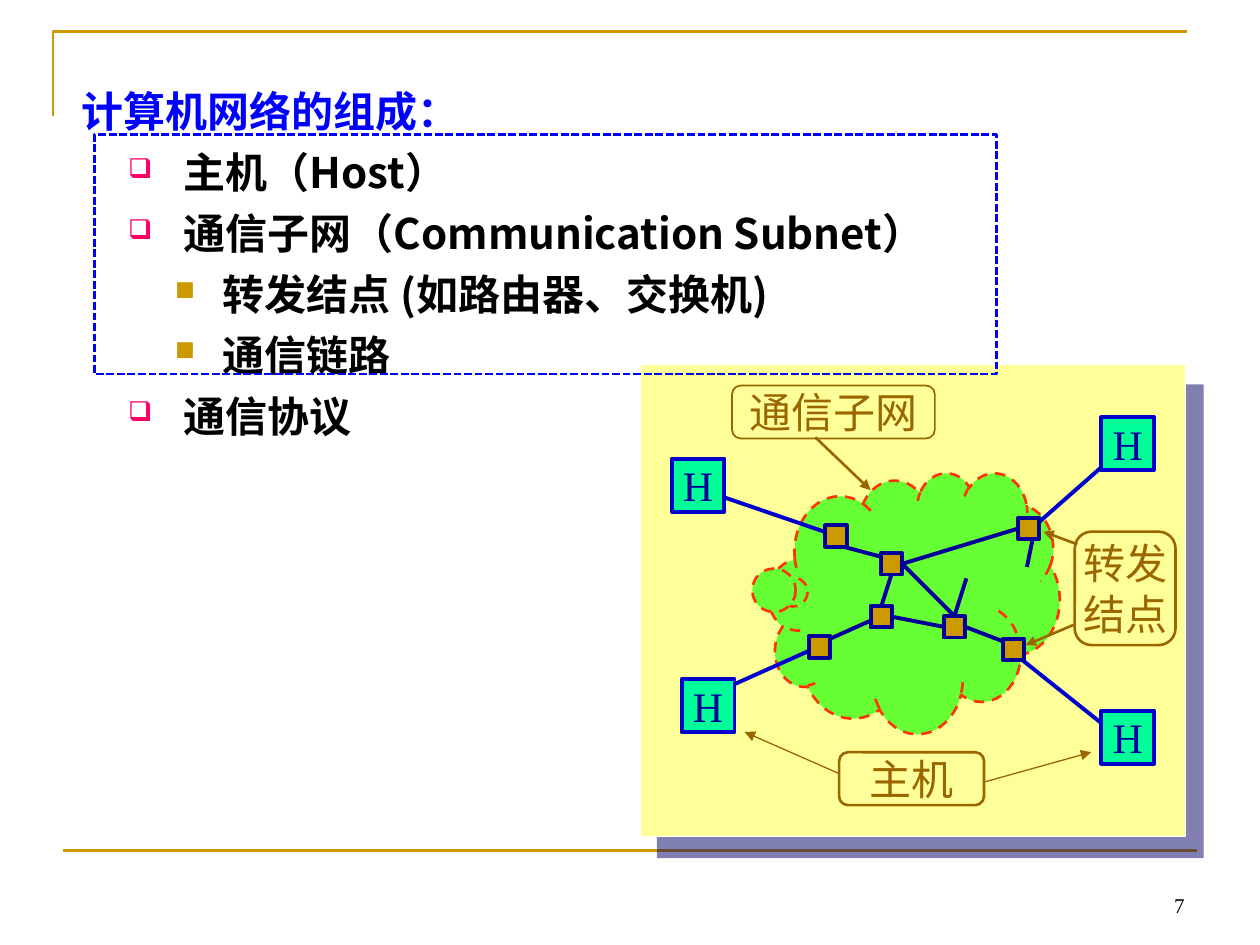
import pptx
import pptx.util
import pptx.dml.color
import pptx.enum.shapes
import pptx.enum.text
import pptx.enum.dml
import pptx.oxml.ns
import lxml.etree
from dataclasses import dataclass

Inches = pptx.util.Inches
Pt = pptx.util.Pt
Shape = pptx.enum.shapes.MSO_SHAPE
Align = pptx.enum.text.PP_ALIGN
Anchor = pptx.enum.text.MSO_ANCHOR
Dash = pptx.enum.dml.MSO_LINE
qn = pptx.oxml.ns.qn


@dataclass(frozen=True)
class Theme:
    latin: str = "Times New Roman"
    chinese: str = "Noto Sans CJK SC"
    body_size: int = 24
    number_size: int = 12
    gold: str = "CC9900"
    brown: str = "996600"
    blue: str = "0000FF"
    host_line: str = "0000CC"
    navy: str = "000099"
    shadow: str = "000066"
    host_fill: str = "00FF99"
    cloud_fill: str = "66FF33"
    cloud_line: str = "FF3300"
    panel: str = "FFFF99"
    white: str = "FFFFFF"
    black: str = "000000"
    pink: str = "FF0066"


theme = Theme()

# Content
title = "计算机网络的组成："
outline = [
    (1, "主机（Host）"),
    (1, "通信子网（Communication Subnet）"),
    (2, "转发结点 (如路由器、交换机)"),
    (2, "通信链路"),
    (1, "通信协议"),
]
# level: bullet, colour, text indent, hanging indent
bullets = {1: ("❑", theme.pink, 0.81, 0.44), 2: ("■", theme.gold, 1.12, 0.38)}
page_number = "7"

HOST, NODE = 0.42, 0.17
hosts = [(5.33, 3.64), (8.74, 3.31), (8.74, 5.64), (5.41, 5.39)]
nodes = {
    "west": (6.55, 4.17), "hub": (6.99, 4.39), "east": (8.08, 4.11),
    "middle": (6.91, 4.81), "south": (7.49, 4.89),
    "southwest": (6.42, 5.05), "southeast": (7.96, 5.07),
}
host_links = [
    ((5.74, 5.47), (6.5, 5.13)), ((5.58, 3.89), (6.6, 4.24)),
    ((8.91, 3.56), (8.16, 4.22)), ((8.83, 5.81), (7.99, 5.14)),
]
node_links = [
    ((6.52, 5.1), (6.99, 4.89)), ((6.66, 4.33), (7.11, 4.45)),
    ((8.15, 4.5), (8.2, 4.26)),
]
# An end is a point, or a node and the side it is joined to
TOP, LEFT, BOTTOM, RIGHT = range(4)
joined_links = [
    (("hub", BOTTOM), ("middle", TOP)), (("hub", RIGHT), ("south", TOP)),
    (("middle", RIGHT), ("south", LEFT)), (("hub", RIGHT), ("east", LEFT)),
    (("south", RIGHT), (7.96, 5.09)), (("south", TOP), (7.67, 4.59)),
]
# label lines, box, line width
labels = [
    (["主机"], (6.66, 5.97, 1.15, 0.42), 1.5),
    (["通信子网"], (5.81, 3.06, 1.61, 0.42), 1),
    (["转发", "结点"], (8.53, 4.22, 0.8, 0.9), 1.5),
]
pointers = [
    ((6.66, 6.14), (5.91, 5.81), 0.75), ((7.8, 6.21), (8.66, 5.97), 0.75),
    ((6.47, 3.47), (6.91, 3.89), 1.5), ((8.55, 4.32), (8.28, 4.22), 1.5),
    ((8.52, 4.96), (8.14, 5.12), 1.5),
]

deck = pptx.Presentation()
deck.slide_width, deck.slide_height = Inches(10), Inches(7.5)
page = deck.slides.add_slide(deck.slide_layouts[6])


def rgb(colour):
    return pptx.dml.color.RGBColor.from_string(colour)


def style(shape, fill, line, width, dash=None):
    shape.shadow.inherit = False
    if fill:
        shape.fill.solid()
        shape.fill.fore_color.rgb = rgb(fill)
    else:
        shape.fill.background()
    shape.line.color.rgb = rgb(line)
    shape.line.width = Pt(width)
    if dash:
        shape.line.dash_style = dash
    return shape


def add_box(kind, box, fill, line, width, dash=None):
    shape = page.shapes.add_shape(kind, *map(Inches, box))
    return style(shape, fill, line, width, dash)


def add_line(start, end, colour, width, arrow=False):
    line = page.shapes.add_connector(
        pptx.enum.shapes.MSO_CONNECTOR.STRAIGHT, *map(Inches, (*start, *end)))
    line.line.color.rgb = rgb(colour)
    line.line.width = Pt(width)
    if arrow:
        lxml.etree.SubElement(line.line._get_or_add_ln(), qn("a:tailEnd"), type="triangle")
    lxml.etree.SubElement(line._element.spPr, qn("a:effectLst"))
    return line


def set_font(para, colour, size=theme.body_size, name=theme.latin, bold=False):
    font = para.font
    font.name, font.size, font.bold = name, Pt(size), bold
    font.color.rgb = rgb(colour)


def write_label(shape, lines, colour):
    frame = shape.text_frame
    frame.word_wrap = False
    frame.vertical_anchor = Anchor.MIDDLE
    for index, line in enumerate(lines):
        para = frame.add_paragraph() if index else frame.paragraphs[0]
        para.text, para.alignment = line, Align.CENTER
        set_font(para, colour)


def add_bullet(para, mark, colour, indent, hanging):
    props = para._p.get_or_add_pPr()
    props.set("marL", str(Inches(indent)))
    props.set("indent", str(-Inches(hanging)))
    tint = lxml.etree.SubElement(props, qn("a:buClr"))
    lxml.etree.SubElement(tint, qn("a:srgbClr"), val=colour)
    lxml.etree.SubElement(props, qn("a:buSzPct"), val="65000")
    lxml.etree.SubElement(props, qn("a:buChar"), char=mark)


def node_point(end):
    """Middle of a node's side, or the point itself."""
    if end[0] not in nodes:
        return end
    left, top = nodes[end[0]]
    half = NODE / 2
    across, down = {TOP: (half, 0), LEFT: (0, half),
                    BOTTOM: (half, NODE), RIGHT: (NODE, half)}[end[1]]
    return left + across, top + down


# Page frame
builder = page.shapes.build_freeform(Inches(0.42), Inches(0.92))
builder.add_line_segments([(Inches(0.42), Inches(0.25)), (Inches(9.42), Inches(0.25))], close=False)
style(builder.convert_to_shape(), None, theme.gold, 1.5)
add_line((0.5, 6.75), (9.5, 6.75), theme.gold, 1.5)

# Outline text
frame = page.shapes.add_textbox(*map(Inches, (0.55, 0.55, 9.17, 4.52))).text_frame
frame.word_wrap = True
frame.margin_top = Inches(0.13)
para = frame.paragraphs[0]
para.text = title
set_font(para, theme.blue, bold=True)
for level, words in outline:
    para = frame.add_paragraph()
    para.text, para.level, para.space_before = words, level, Pt(6)
    add_bullet(para, *bullets[level])
    set_font(para, theme.black, name=theme.chinese, bold=True)

# Diagram panel with its offset shadow
panel = add_box(Shape.RECTANGLE, (5.08, 2.89, 4.33, 3.75), theme.panel, theme.white, 0.75)
effects = panel._element.spPr.find(qn("a:effectLst"))
shadow = lxml.etree.SubElement(effects, qn("a:outerShdw"), dist=str(Pt(15.6)),
                               dir=str(50 * 60000), algn="ctr", rotWithShape="0")
tint = lxml.etree.SubElement(shadow, qn("a:srgbClr"), val=theme.shadow)
lxml.etree.SubElement(tint, qn("a:alpha"), val="50000")

# Subnet cloud
cloud = add_box(Shape.CLOUD_CALLOUT, (6.1, 3.75, 2.31, 2.07),
                theme.cloud_fill, theme.cloud_line, 1.5, Dash.DASH)
cloud.adjustments[0], cloud.adjustments[1] = -0.4, -0.04

# Links that run under the hosts and nodes
for links, colour in ((host_links, theme.host_line), (node_links, theme.navy)):
    for start, end in links:
        add_line(start, end, colour, 2.25)

# Hosts and forwarding nodes
for left, top in hosts:
    host = add_box(Shape.RECTANGLE, (left, top, HOST, HOST), theme.host_fill, theme.host_line, 2.25)
    write_label(host, ["H"], theme.navy)
node_boxes = {name: add_box(Shape.RECTANGLE, (*corner, NODE, NODE), theme.gold, theme.navy, 2.25)
              for name, corner in nodes.items()}

# Links joined to the nodes
for start, end in joined_links:
    link = add_line(node_point(start), node_point(end), theme.navy, 2.25)
    link.begin_connect(node_boxes[start[0]], start[1])
    if end[0] in node_boxes:
        link.end_connect(node_boxes[end[0]], end[1])

# Labels and pointers
for lines, box, width in labels:
    write_label(add_box(Shape.ROUNDED_RECTANGLE, box, None, theme.brown, width), lines, theme.brown)
for start, end, width in pointers:
    add_line(start, end, theme.brown, width, arrow=True)

# Page number
frame = page.shapes.add_textbox(*map(Inches, (7.17, 6.83, 2.33, 0.5))).text_frame
frame.word_wrap, frame.vertical_anchor = True, Anchor.BOTTOM
para = frame.paragraphs[0]
para.text, para.alignment = page_number, Align.RIGHT
set_font(para, theme.black, theme.number_size)

# Dashed outline around the components
add_box(Shape.RECTANGLE, (0.75, 1.07, 7.16, 1.9), None, theme.blue, 1.5, Dash.SQUARE_DOT)

deck.save("out.pptx")
